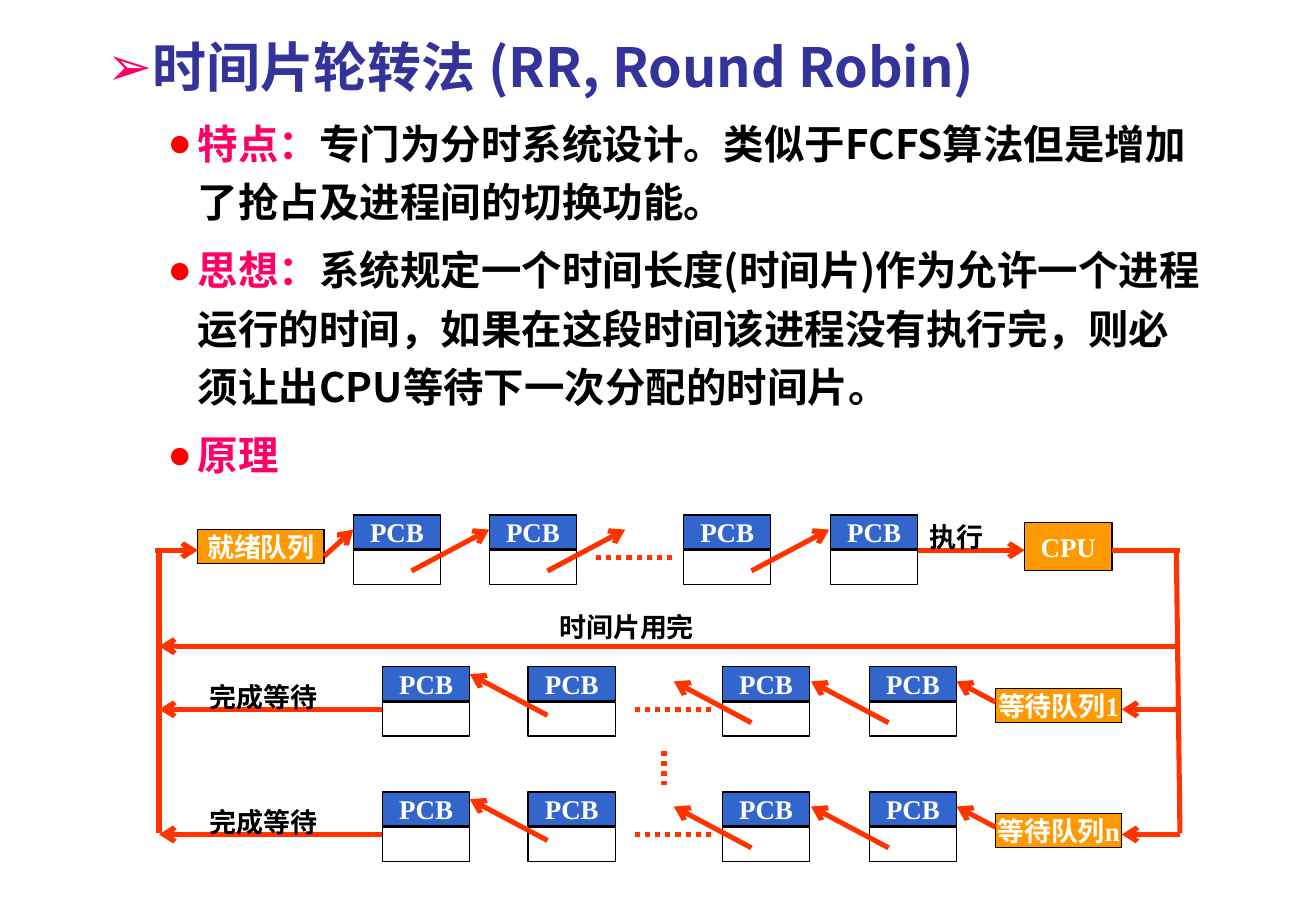
from lxml import etree
from pptx import Presentation, util as u
from pptx.dml.color import RGBColor
from pptx.enum import dml, shapes, text
from pptx.oxml.ns import qn

COLORS = {"title": "333399", "key": "FF0066", "bullet": "FF0000", "black": "000000",
          "white": "FFFFFF", "header": "3366CC", "station": "FF9900", "flow": "FF3300"}
SANS, SERIF = "Noto Sans CJK SC", "Times New Roman"

HEADING = "时间片轮转法 (RR, Round Robin)"
POINTS = [
    ("特点：", "专门为分时系统设计。类似于FCFS算法但是增加了抢占及进程间的切换功能。"),
    ("思想：", "系统规定一个时间长度(时间片)作为允许一个进程运行的时间，如果在这段时间该进程没有执行完，则必须让出CPU等待下一次分配的时间片。"),
    ("原理", ""),
]
READY_TOP, READY_COLUMNS = 4.24, [2.91, 4.03, 5.63, 6.84]
WAIT_COLUMNS = [3.15, 4.35, 5.95, 7.16]
WAIT_ROWS = [(5.49, "等待队列1"), (6.52, "等待队列n")]
LEFT_RAIL, RIGHT_RAIL = 1.31, 9.72
READY_LINE, EXPIRED_LINE, BOTTOM_LINE = 4.53, 5.32, 6.86
PCB_WIDTH, CELL_HEIGHT, BODY_OFFSET = 0.72, 0.28, 0.29
STATION_WIDTH = 1.04
HOP_WIDTH, HOP_HEIGHT = 0.64, 0.34

presentation = Presentation()
presentation.slide_width, presentation.slide_height = u.Inches(10.84), u.Inches(7.5)
slide = presentation.slides.add_slide(presentation.slide_layouts[1])


def color(name):
    return RGBColor.from_string(COLORS[name])


def style_run(run, size, latin, fill):
    run.font.size, run.font.name, run.font.bold = u.Pt(size), latin, True
    run.font.color.rgb = color(fill)
    etree.SubElement(run._r.get_or_add_rPr(), qn("a:ea"), typeface=SANS)


def set_bullet(paragraph, character, fill, margin, hanging):
    properties = paragraph._p.get_or_add_pPr()
    properties.set("marL", str(u.Inches(margin)))
    properties.set("indent", str(-u.Inches(hanging)))
    bullet_color = etree.SubElement(properties, qn("a:buClr"))
    etree.SubElement(bullet_color, qn("a:srgbClr"), val=COLORS[fill])
    etree.SubElement(properties, qn("a:buChar"), char=character)


def add_box(left, top, width, height, fill, label=""):
    box = slide.shapes.add_shape(shapes.MSO_SHAPE.RECTANGLE,
                                 *map(u.Inches, (left, top, width, height)))
    box.shadow.inherit = False
    box.fill.solid()
    box.fill.fore_color.rgb = color(fill)
    box.line.color.rgb, box.line.width = color("black"), u.Pt(0.75)
    if label:
        frame = box.text_frame
        frame.text, frame.word_wrap = label, False
        frame.vertical_anchor = text.MSO_ANCHOR.MIDDLE
        frame.paragraphs[0].alignment = text.PP_ALIGN.CENTER
        style_run(frame.paragraphs[0].runs[0], 16, SERIF, "white")


def add_pcb(left, top):
    add_box(left, top, PCB_WIDTH, CELL_HEIGHT, "header", "PCB")
    add_box(left, top + BODY_OFFSET, PCB_WIDTH, CELL_HEIGHT, "white")


def add_line(x1, y1, x2, y2, arrow=False, dotted=False):
    line = slide.shapes.add_connector(shapes.MSO_CONNECTOR.STRAIGHT,
                                      *map(u.Inches, (x1, y1, x2, y2)))
    line.line.color.rgb, line.line.width = color("flow"), u.Pt(3)
    if dotted:
        line.line.dash_style = dml.MSO_LINE.ROUND_DOT
    if arrow:
        etree.SubElement(line.line._get_or_add_ln(), qn("a:tailEnd"), type="arrow")
    etree.SubElement(line._element.spPr, qn("a:effectLst"))


def add_label(left, top, width, words):
    box = slide.shapes.add_textbox(*map(u.Inches, (left, top, width, 0.37)))
    box.text_frame.word_wrap = True
    box.text_frame.text = words
    style_run(box.text_frame.paragraphs[0].runs[0], 16, SERIF, "black")


def add_outline():
    title = slide.shapes.title
    title._element.getparent().remove(title._element)
    body = slide.placeholders[1]
    body.left, body.top, body.width, body.height = map(u.Inches, (0.28, 0.23, 9.75, 3.8))
    frame = body.text_frame
    frame.auto_size = text.MSO_AUTO_SIZE.NONE
    frame.text = HEADING
    heading = frame.paragraphs[0]
    heading.level = 1
    set_bullet(heading, "➢", "key", 0.81, 0.31)
    heading.space_before = u.Pt(0)
    style_run(heading.runs[0], 32, SANS, "title")
    for key, detail in POINTS:
        paragraph = frame.add_paragraph()
        paragraph.level = 2
        set_bullet(paragraph, "●", "bullet", 1.25, 0.25)
        paragraph.line_spacing, paragraph.space_before = 1.2, u.Pt(6)
        for words, fill in ((key, "key"), (detail, "black")):
            if words:
                run = paragraph.add_run()
                run.text = words
                style_run(run, 24, SANS, fill)


def add_ready_queue():
    add_line(LEFT_RAIL, BOTTOM_LINE, LEFT_RAIL, READY_LINE)
    add_line(LEFT_RAIL - 0.03, READY_LINE, 1.63, READY_LINE, arrow=True)
    for left in READY_COLUMNS:
        add_pcb(left, READY_TOP)
    for left, shift in zip(READY_COLUMNS, (0.48, 0.48, 0.56)):
        start, low = left + shift, READY_TOP + 0.46
        add_line(start, low, start + HOP_WIDTH, low - HOP_HEIGHT, arrow=True)
    add_line(4.91, 4.59, 4.91 + HOP_WIDTH, 4.59, dotted=True)
    add_line(READY_COLUMNS[-1] + PCB_WIDTH, READY_LINE, 8.44, READY_LINE, arrow=True)
    add_box(8.44, 4.3, PCB_WIDTH, 0.4, "station", "CPU")
    add_line(8.44 + PCB_WIDTH, READY_LINE, RIGHT_RAIL, READY_LINE)
    add_line(RIGHT_RAIL, BOTTOM_LINE, RIGHT_RAIL - 0.03, READY_LINE)
    add_line(RIGHT_RAIL, EXPIRED_LINE, LEFT_RAIL, EXPIRED_LINE, arrow=True)
    add_box(1.63, 4.36, STATION_WIDTH, CELL_HEIGHT, "station", "就绪队列")
    add_line(1.63 + STATION_WIDTH, 4.58, READY_COLUMNS[0], 4.36, arrow=True)
    add_label(4.51, 4.98, 1.85, "时间片用完")
    add_label(7.56, READY_TOP, 0.8, "执行")


def add_waiting_queue(top, name):
    station, middle = 8.2, top + 0.35
    for left in WAIT_COLUMNS:
        add_pcb(left, top)
    hops = zip(WAIT_COLUMNS[1:], (0.16, 0.24, 0.16), (0.4, 0.46, 0.46))
    for left, shift, drop in hops:
        start, low = left + shift, top + drop
        add_line(start, low, start - HOP_WIDTH, low - HOP_HEIGHT, arrow=True)
    add_line(5.23, middle, 5.23 + HOP_WIDTH, middle, dotted=True)
    add_box(station, top + 0.18, STATION_WIDTH, CELL_HEIGHT, "station", name)
    add_line(RIGHT_RAIL, middle, station + STATION_WIDTH, middle, arrow=True)
    add_line(station, top + 0.29, WAIT_COLUMNS[-1] + PCB_WIDTH, top + 0.12, arrow=True)
    add_line(WAIT_COLUMNS[0], middle, LEFT_RAIL, middle, arrow=True)
    add_label(1.63, top + 0.06, 1.36, "完成等待")


def main():
    add_outline()
    add_ready_queue()
    for top, name in WAIT_ROWS:
        add_waiting_queue(top, name)
    add_line(5.47, 6.18, 5.47, 6.46, dotted=True)
    presentation.save("out.pptx")


if __name__ == "__main__":
    main()
